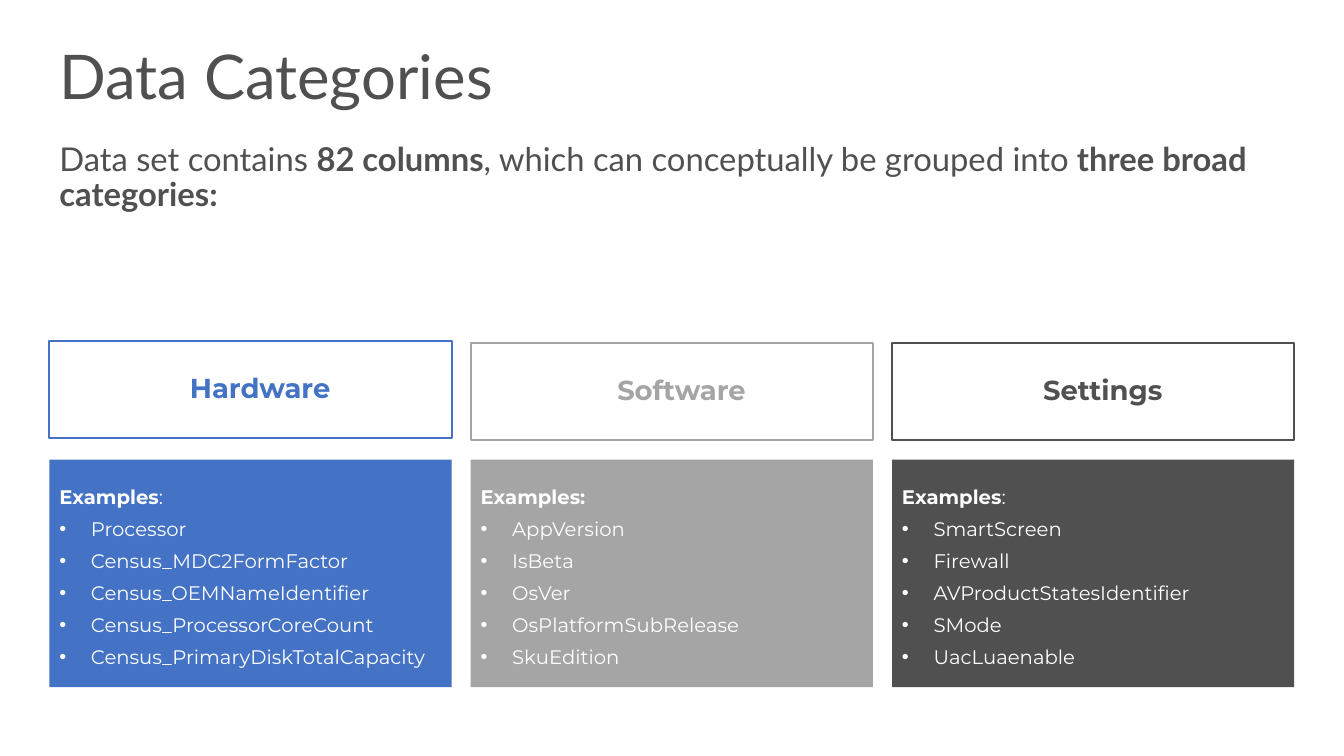
from lxml.etree import SubElement
from pptx import Presentation
from pptx.dml.color import RGBColor
from pptx.enum.shapes import MSO_SHAPE
from pptx.enum.text import MSO_ANCHOR, PP_ALIGN
from pptx.oxml.ns import qn
from pptx.util import Pt

DARK = "505050"
WHITE = "FFFFFF"
LEFT, STEP, WIDTH = 35.3, 300.95, 287.3

# Name, colour, header top, bold part of the heading, rest of it, items
GROUPS = [
    ("Hardware", "4472C4", 243.4, "Examples", ":",
     ["Processor", "Census_MDC2FormFactor", "Census_OEMNameIdentifier",
      "Census_ProcessorCoreCount", "Census_PrimaryDiskTotalCapacity"]),
    ("Software", "A5A5A5", 244.8, "Examples:", "",
     ["AppVersion", "IsBeta", "OsVer", "OsPlatformSubRelease", "SkuEdition"]),
    ("Settings", DARK, 244.8, "Examples", ":",
     ["SmartScreen", "Firewall", "AVProductStatesIdentifier", "SMode",
      "UacLuaenable"]),
]


def color(code):
    return RGBColor.from_string(code)


def add_runs(para, parts, size, face, code):
    """Fill a paragraph from (text, bold) pairs."""
    for text, bold in parts:
        run = para.add_run()
        run.text = text
        font = run.font
        font.size, font.name, font.bold = Pt(size), face, bold
        font.color.rgb = color(code)


def add_box(slide, left, top, width, height):
    box = slide.shapes.add_textbox(Pt(left), Pt(top), Pt(width), Pt(height))
    box.text_frame.word_wrap = True
    return box.text_frame


def add_line(slide, top, parts, size):
    """Add a full-width line of text, centred in its height."""
    frame = add_box(slide, LEFT, top, 889.2, 73.4)
    frame.vertical_anchor = MSO_ANCHOR.MIDDLE
    para = frame.paragraphs[0]
    para.line_spacing = 0.9
    add_runs(para, parts, size, "Lato", DARK)


def add_rect(slide, left, top, height, fill):
    rect = slide.shapes.add_shape(
        MSO_SHAPE.RECTANGLE, Pt(left), Pt(top), Pt(WIDTH), Pt(height))
    rect.shadow.inherit = False
    rect.fill.solid()
    rect.fill.fore_color.rgb = color(fill)
    rect.line.fill.background()
    return rect


def add_header(slide, left, top, name, code):
    rect = add_rect(slide, left, top, 69.8, WHITE)
    rect.line.color.rgb = color(code)
    rect.line.width = Pt(1.5)
    frame = rect.text_frame
    frame.word_wrap = True
    frame.vertical_anchor = MSO_ANCHOR.MIDDLE
    frame.margin_left, frame.margin_right = Pt(20.9), Pt(7.2)
    frame.margin_top, frame.margin_bottom = Pt(0), Pt(3.6)
    para = frame.paragraphs[0]
    para.alignment = PP_ALIGN.CENTER
    add_runs(para, [(name, True)], 19.6, "Montserrat", code)


def add_bullet(para):
    props = para._p.get_or_add_pPr()
    props.set("marL", str(Pt(22.5)))
    props.set("indent", str(-Pt(22.5)))
    SubElement(props, qn("a:buFont")).set("typeface", "Arial")
    SubElement(props, qn("a:buChar")).set("char", "•")


def add_list(slide, left, head, items):
    frame = add_box(slide, left, 342.7, WIDTH, 139.7)
    para = frame.paragraphs[0]
    para.space_after = Pt(6)
    add_runs(para, head, 14, "Montserrat", WHITE)
    for item in items:
        para = frame.add_paragraph()
        add_bullet(para)
        para.space_after = Pt(6)
        add_runs(para, [(item, False)], 14, "Montserrat", WHITE)


def main():
    deck = Presentation()
    deck.slide_width, deck.slide_height = Pt(960), Pt(540)
    slide = deck.slides.add_slide(deck.slide_layouts[6])

    add_line(slide, 20.2, [("Data Categories", False)], 44)
    add_line(slide, 90.7, [
        ("Data set contains ", False),
        ("82 columns", True),
        (", which can conceptually be grouped into ", False),
        ("three broad categories:", True),
    ], 23.4)

    for num, (name, code, top, bold, rest, items) in enumerate(GROUPS):
        left = LEFT + num * STEP
        head = [(bold, True)]
        if rest:
            head.append((rest, False))
        add_rect(slide, left, 328.3, 162.5, code)
        add_header(slide, left, top, name, code)
        add_list(slide, left, head, items)

    deck.save("out.pptx")


if __name__ == "__main__":
    main()
